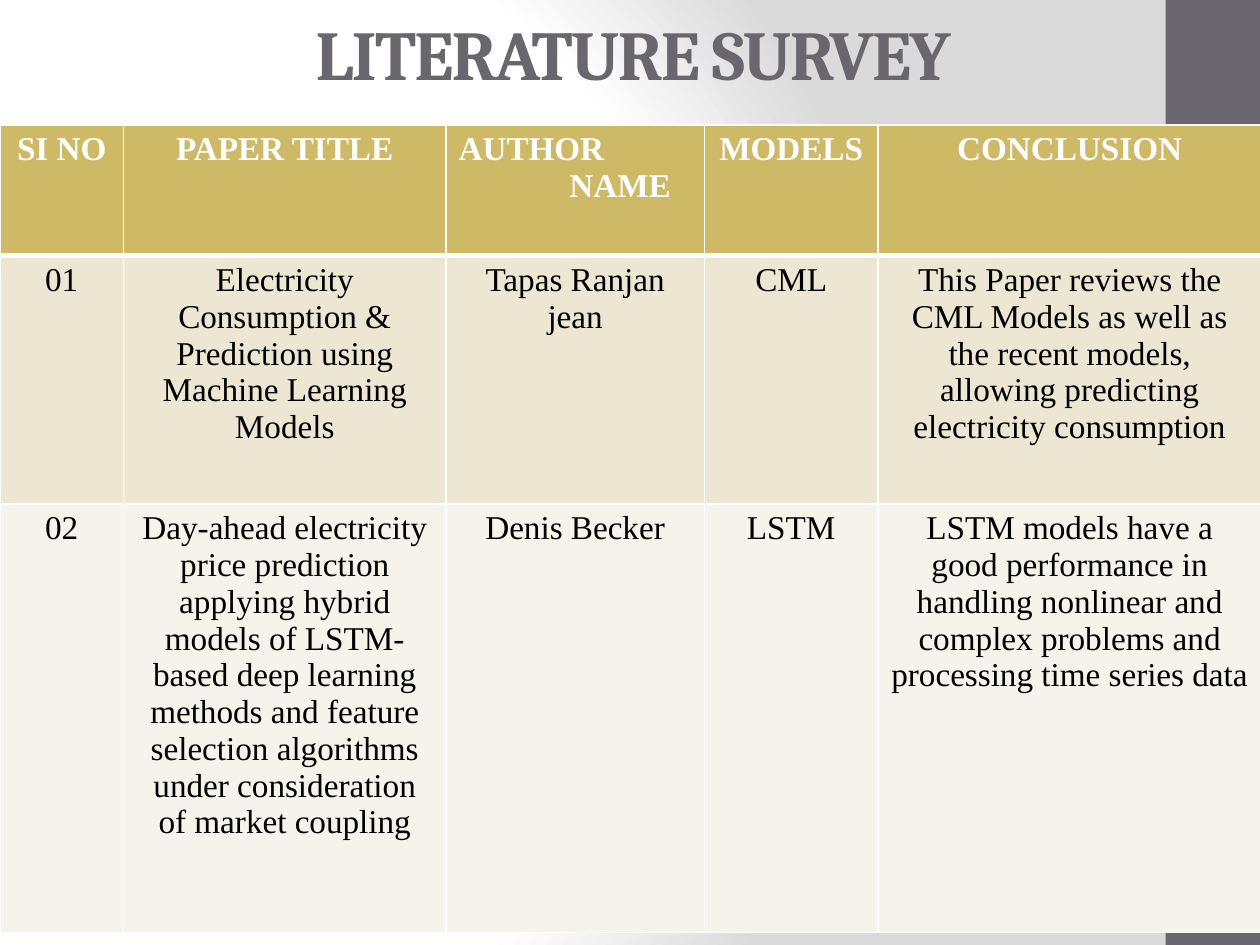
import dataclasses

import lxml.etree
import pptx
import pptx.dml.color
import pptx.enum.shapes
import pptx.enum.text
import pptx.oxml
import pptx.oxml.ns
import pptx.util

Inches = pptx.util.Inches
Pt = pptx.util.Pt
Align = pptx.enum.text.PP_ALIGN
qn = pptx.oxml.ns.qn
GRAY, GOLD, WHITE = "69676D", "CEB966", "FFFFFF"
SERIF = "Times New Roman"


@dataclasses.dataclass
class Row:
    height: float
    fill: str
    ink: str
    bold: bool
    under: int  # bottom border in points
    texts: list[str]


COLS = [0.98, 2.56, 2.05, 1.38, 3.04]
ROWS = [
    Row(1.04, GOLD, WHITE, True, 3,
        ["SI NO", "PAPER TITLE", "AUTHOR\nNAME", "MODELS", "CONCLUSION"]),
    Row(1.97, "EDE6D3", "000000", False, 1,
        ["01",
         "Electricity Consumption & Prediction using Machine Learning Models",
         "Tapas Ranjan jean", "CML",
         "This Paper reviews the CML Models as well as the recent models, "
         "allowing predicting electricity consumption"]),
    Row(3.4, "F6F3EA", "000000", False, 1,
        ["02",
         "Day-ahead electricity price prediction applying hybrid models of "
         "LSTM-based deep learning methods and feature selection algorithms "
         "under consideration of market coupling",
         "Denis Becker", "LSTM",
         "LSTM models have a good performance in handling nonlinear and "
         "complex problems and processing time series data"]),
]


def color(code: str) -> pptx.dml.color.RGBColor:
    return pptx.dml.color.RGBColor.from_string(code)


def style(para, font: str, size: float, ink: str, bold: bool) -> None:
    para.alignment = Align.CENTER
    for run in para.runs:
        run.font.name = font
        run.font.size = Pt(size)
        run.font.bold = bold
        run.font.color.rgb = color(ink)


def border(cell, top: int, under: int) -> None:
    props = cell._tc.get_or_add_tcPr()
    sides = [("lnL", 1), ("lnR", 1), ("lnT", top), ("lnB", under)]
    for spot, (side, width) in enumerate(sides):
        line = lxml.etree.Element(qn("a:" + side), w=str(Pt(width)))
        fill = lxml.etree.SubElement(line, qn("a:solidFill"))
        lxml.etree.SubElement(fill, qn("a:srgbClr"), val=WHITE)
        props.insert(spot, line)


def backdrop(slide) -> None:
    slide.background.fill.gradient()
    grad = next(slide.element.iter(qn("a:gradFill")))
    stops = "".join(
        f'<a:gs pos="{pos}000"><a:srgbClr val="{code}"/></a:gs>'
        for pos, code in [(0, WHITE), (75, WHITE), (100, "DADADA")])
    grad.getparent().replace(grad, pptx.oxml.parse_xml(
        f'<a:gradFill {pptx.oxml.ns.nsdecls("a")} rotWithShape="1">'
        f'<a:gsLst>{stops}</a:gsLst><a:path path="circle">'
        '<a:fillToRect l="20000" t="50000" r="100000" b="50000"/>'
        '</a:path></a:gradFill>'))


def survey(slide) -> None:
    table = slide.shapes.add_table(
        len(ROWS), len(COLS), Inches(0), Inches(0.99),
        Inches(sum(COLS)), Inches(sum(row.height for row in ROWS))).table
    for col, width in zip(table.columns, COLS):
        col.width = Inches(width)
    top = 1
    for r, row in enumerate(ROWS):
        table.rows[r].height = Inches(row.height)
        for c, text in enumerate(row.texts):
            cell = table.cell(r, c)
            cell.text_frame.text = text
            cell.fill.solid()
            cell.fill.fore_color.rgb = color(row.fill)
            border(cell, top, row.under)
            for para in cell.text_frame.paragraphs:
                style(para, SERIF, 19, row.ink, row.bold)
        top = row.under
    # Stepped heading of the author column
    first, second = table.cell(0, 2).text_frame.paragraphs
    first.alignment = second.alignment = Align.LEFT
    second._p.get_or_add_pPr().set("marL", str(Inches(0.88)))


deck = pptx.Presentation()
deck.slide_width, deck.slide_height = Inches(10), Inches(7.5)
slide = deck.slides.add_slide(deck.slide_layouts[5])
backdrop(slide)

# Side bar
bar = slide.shapes.add_shape(
    pptx.enum.shapes.MSO_SHAPE.RECTANGLE,
    Inches(9.25), Inches(0), Inches(0.75), Inches(7.5))
bar.shadow.inherit = False
bar.fill.solid()
bar.fill.fore_color.rgb = color(GRAY)
bar.line.fill.background()

# Title
title = slide.shapes.title
title.left, title.top = Inches(0.55), Inches(0.13)
title.width, title.height = Inches(8.95), Inches(0.58)
frame = title.text_frame
frame.text = "LITERATURE SURVEY"
frame.vertical_anchor = pptx.enum.text.MSO_ANCHOR.MIDDLE
style(frame.paragraphs[0], "Cambria", 40, GRAY, True)
frame.paragraphs[0].runs[0].font._element.set("spc", "-100")

survey(slide)
deck.save("out.pptx")
